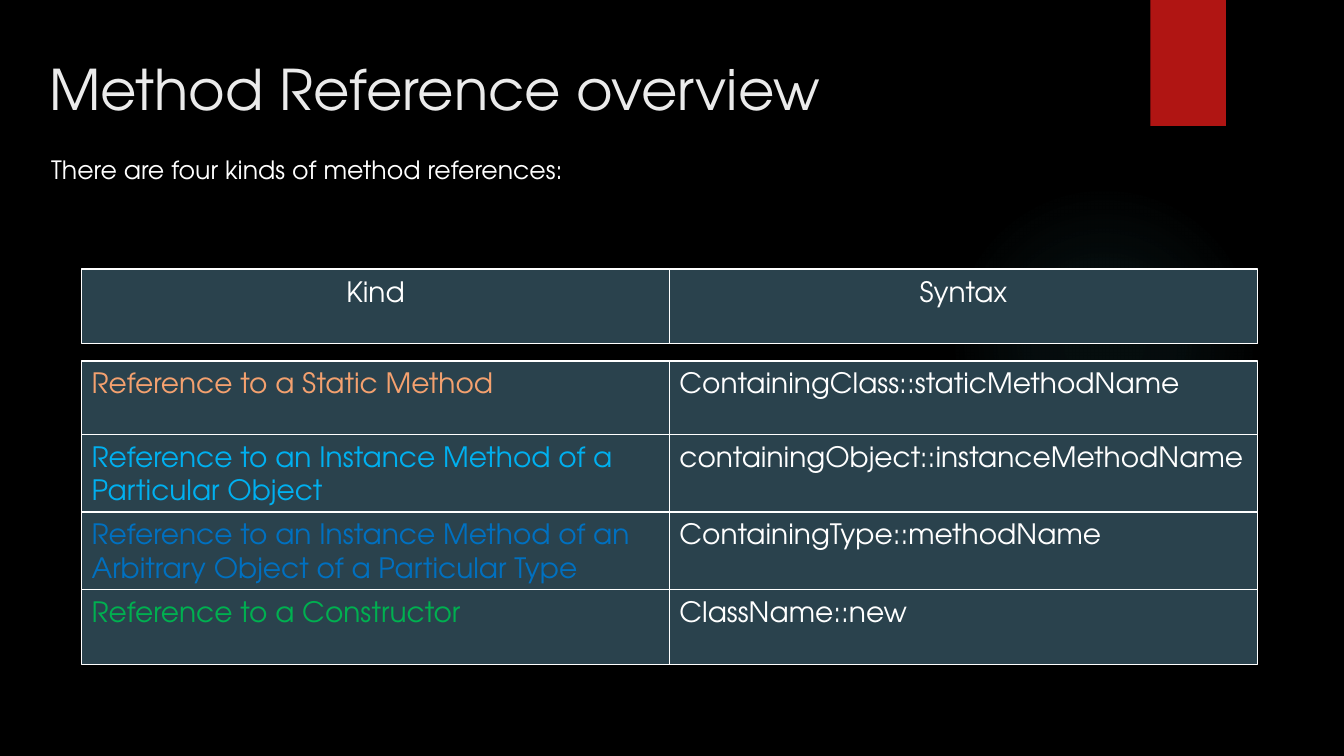
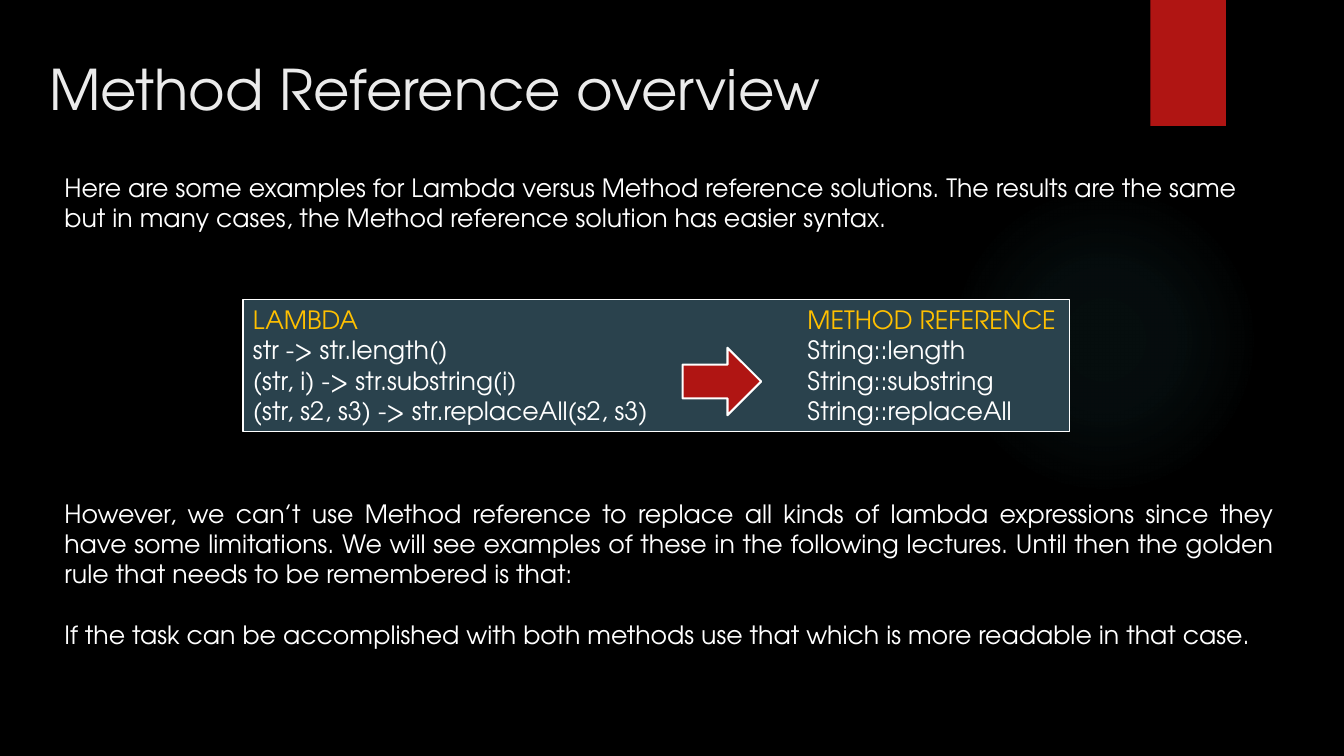
"""Build two slides about method references."""
from pptx import Presentation
from pptx.dml.color import RGBColor as RGB
from pptx.enum.shapes import MSO_SHAPE as SHAPE
from pptx.enum.text import MSO_ANCHOR as ANCHOR, PP_ALIGN as ALIGN
from pptx.oxml import parse_xml
from pptx.oxml.ns import nsdecls
from pptx.util import Inches, Pt

FONT = "TeX Gyre Adventor"
BLACK = RGB(0x00, 0x00, 0x00)
WHITE = RGB(0xFF, 0xFF, 0xFF)
PALE = RGB(0xEB, 0xEB, 0xEB)
RED = RGB(0xB0, 0x15, 0x13)
SLATE = RGB(0x2A, 0x42, 0x4D)
GOLD = RGB(0xFF, 0xC0, 0x00)
PEACH = RGB(0xF4, 0xA1, 0x6F)
SKY = RGB(0x00, 0xB0, 0xF0)
BLUE = RGB(0x00, 0x70, 0xC0)
GREEN = RGB(0x00, 0xB0, 0x50)
GLOW = RGB(0x50, 0xB9, 0xC1)

TITLE = "Method Reference overview"
KINDS = [
    ("Reference to a Static Method", PEACH, "ContainingClass::staticMethodName"),
    ("Reference to an Instance Method of a Particular Object", SKY,
     "containingObject::instanceMethodName"),
    ("Reference to an Instance Method of an Arbitrary Object of a Particular Type",
     BLUE, "ContainingType::methodName"),
    ("Reference to a Constructor", GREEN, "ClassName::new"),
]
INTRO = ("Here are some examples for Lambda versus Method reference solutions. "
         "The results are the same but in many cases, the Method reference "
         "solution has easier syntax.")
CODE = [
    "LAMBDA\tMETHOD REFERENCE",
    "str -> str.length()\tString::length",
    "(str, i) -> str.substring(i)\tString::substring",
    "(str, s2, s3) -> str.replaceAll(s2, s3)\tString::replaceAll",
]
RULES = [
    "However, we can’t use Method reference to replace all kinds of lambda "
    "expressions since they have some limitations. We will see examples of these "
    "in the following lectures. Until then the golden rule that needs to be "
    "remembered is that:",
    "If the task can be accomplished with both methods use that which is more "
    "readable in that case.",
]


def write(frame, *lines, size=18, color=WHITE, head=None, align=ALIGN.LEFT, gap=0, tab=None):
    """Fill a text frame with one formatted paragraph per line."""
    frame.word_wrap = True
    frame.vertical_anchor = ANCHOR.TOP
    for i, line in enumerate(lines):
        para = frame.add_paragraph() if i else frame.paragraphs[0]
        para.alignment = align
        if i and gap:
            para.space_before = Pt(gap)
        if tab:
            para._p.get_or_add_pPr().append(parse_xml(
                f'<a:tabLst {nsdecls("a")}><a:tab pos="{Inches(tab)}" algn="l"/></a:tabLst>'))
        run = para.add_run()
        run.text = line
        font = run.font
        font.name, font.size = FONT, Pt(size)
        font.color.rgb = head if head and i == 0 else color


def place(*box):
    """Turn a box in inches into lengths."""
    return [Inches(side) for side in box]


def label(slide, box, *lines, **style):
    """Add a text box."""
    write(slide.shapes.add_textbox(*place(*box)).text_frame, *lines, **style)


def draw(slide, kind, box, fill, line=None):
    """Add a flat shape with an optional white outline of the given width."""
    shape = slide.shapes.add_shape(kind, *place(*box))
    shape.shadow.inherit = False
    shape.fill.solid()
    shape.fill.fore_color.rgb = fill
    if line:
        shape.line.color.rgb = WHITE
        shape.line.width = Pt(line)
    else:
        shape.line.fill.background()
    return shape


def panel(slide, box, *lines, **style):
    """Add an outlined slate panel with text."""
    shape = draw(slide, SHAPE.RECTANGLE, box, SLATE, line=1)
    write(shape.text_frame, *lines, **style)


def fade(shape, color, stops):
    """Give a shape a round gradient from (place, opacity) percentages."""
    marks = "".join(
        f'<a:gs pos="{pos * 1000}"><a:srgbClr val="{color}">'
        f'<a:alpha val="{alpha * 1000}"/></a:srgbClr></a:gs>' for pos, alpha in stops)
    grad = parse_xml(
        f'<a:gradFill {nsdecls("a")}><a:gsLst>{marks}</a:gsLst><a:path path="circle">'
        '<a:fillToRect l="50000" t="50000" r="50000" b="50000"/></a:path></a:gradFill>')
    props = shape.element.spPr
    props.replace(props.find("{*}solidFill"), grad)


def grid(slide, top, rows, heights, align=ALIGN.LEFT):
    """Stack rows of two panels; each row holds a text, its colour and a text."""
    left, width = 0.81, 5.83
    for (kind, color, syntax), height in zip(rows, heights):
        for i, (text, tint) in enumerate([(kind, color), (syntax, WHITE)]):
            panel(slide, (left + i * width, top, width, height), text,
                  size=20, color=tint, align=align)
        top += height


def set_theme(deck, layout):
    """Put the background and title box in the template."""
    back = deck.slide_master.background.fill
    back.solid()
    back.fore_color.rgb = BLACK
    title = layout.placeholders[0]
    title.left, title.top, title.width, title.height = place(0.39, 0.49, 11.05, 0.88)


def set_decor(deck, slide):
    """Draw the glow and ribbon and move them to the slide master."""
    glow = draw(slide, SHAPE.OVAL, (9.41, 1.83, 3.08, 3.08), GLOW)
    fade(glow, GLOW, [(0, 7), (36, 6), (69, 0)])
    band = draw(slide, SHAPE.RECTANGLE, (11.41, 0, 0.75, 1.25), RED)
    for i, shape in enumerate((glow, band)):
        shape.element.nvSpPr.cNvPr.set("id", str(20 + i))
        deck.slide_master.element.cSld.spTree.insert(2 + i, shape.element)


def add_page(deck, layout):
    """Add a slide with the shared title."""
    slide = deck.slides.add_slide(layout)
    write(slide.shapes.title.text_frame, TITLE, size=40, color=PALE)
    return slide


def add_kinds(slide):
    """Show the four kinds of reference."""
    label(slide, (0.41, 1.48, 12.28, 0.4), "There are four kinds of method references:",
          align=ALIGN.JUSTIFY)
    grid(slide, 3.58, KINDS, [0.73, 0.77, 0.77, 0.74])
    grid(slide, 2.67, [("Kind", WHITE, "Syntax")], [0.74], align=ALIGN.CENTER)


def add_code(slide):
    """Compare lambdas with method references."""
    panel(slide, (2.41, 2.97, 8.2, 1.31), *CODE, head=GOLD, tab=5.5)
    label(slide, (0.54, 1.66, 12.19, 0.71), INTRO)
    label(slide, (0.54, 4.89, 12.19, 1.92), *RULES, align=ALIGN.JUSTIFY, gap=21.6)
    draw(slide, SHAPE.RIGHT_ARROW, (6.77, 3.45, 0.78, 0.67), RED, line=1.5)


def main():
    """Build and save the deck."""
    deck = Presentation()
    deck.slide_width, deck.slide_height = place(13.33, 7.5)
    layout = deck.slide_layouts[5]
    set_theme(deck, layout)
    first, second = [add_page(deck, layout) for _ in range(2)]
    set_decor(deck, first)
    add_kinds(first)
    add_code(second)
    deck.save("out.pptx")


if __name__ == "__main__":
    main()
